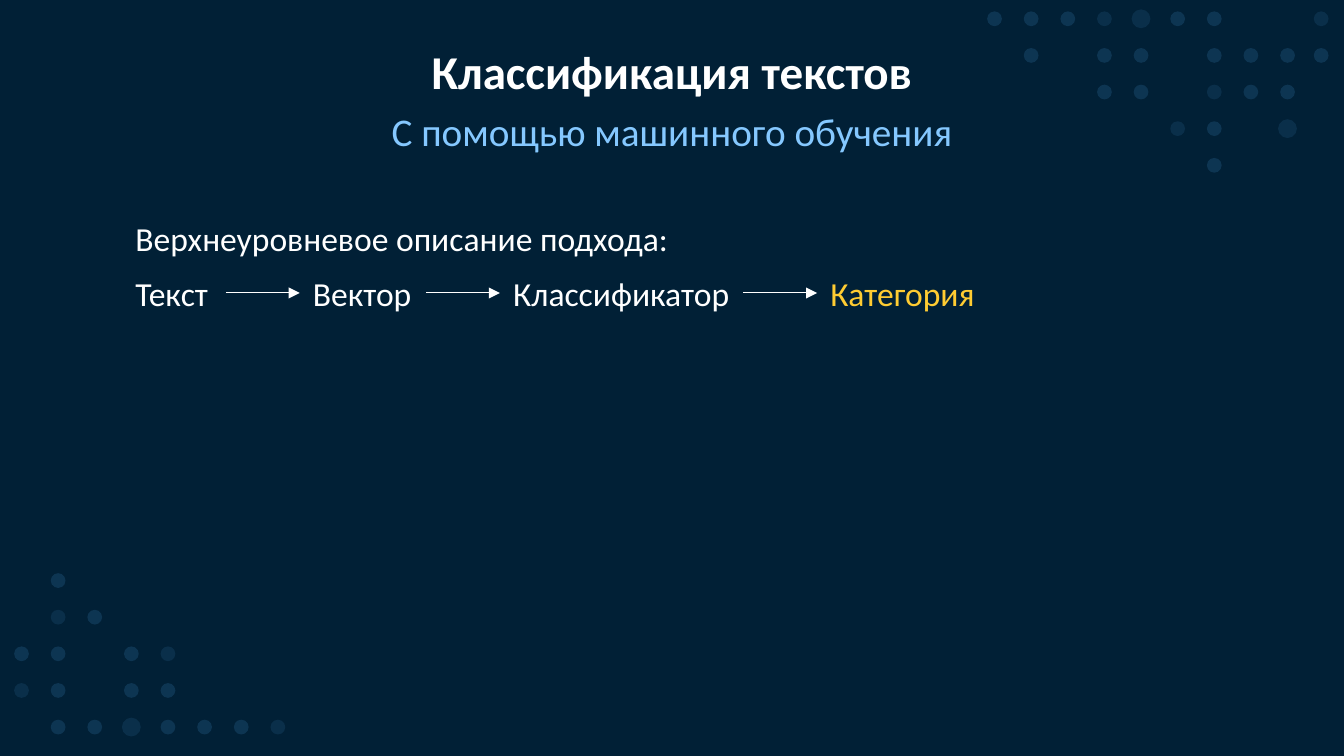
"""Builds the slide on classifying texts with machine learning."""
from dataclasses import dataclass
from itertools import pairwise

from lxml import etree
from pptx import Presentation
from pptx.dml.color import RGBColor
from pptx.enum.shapes import MSO_CONNECTOR, MSO_SHAPE
from pptx.enum.text import MSO_ANCHOR, MSO_AUTO_SIZE, PP_ALIGN
from pptx.oxml.ns import qn
from pptx.util import Inches, Pt

STRAIGHT = MSO_CONNECTOR.STRAIGHT
OVAL = MSO_SHAPE.OVAL
TOP, MIDDLE = MSO_ANCHOR.TOP, MSO_ANCHOR.MIDDLE
FIT_SHAPE = MSO_AUTO_SIZE.SHAPE_TO_FIT_TEXT
CENTER = PP_ALIGN.CENTER
LEFT_SIDE, RIGHT_SIDE = 1, 3


@dataclass(frozen=True)
class Theme:
    font: str = "Calibri"
    background: str = "012036"
    text: str = "FFFFFF"
    subtitle: str = "85C8FF"
    accent: str = "FFCC32"
    dot: str = "5CB5FF"
    title_size: float = 25.2
    subtitle_size: float = 21
    body_size: float = 18
    line_width: float = 0.5


DIAMETER_AND_OPACITY = {"o": (0.11, 14), "f": (0.11, 10), "L": (0.14, 10)}
DOT_STEP = 2.18 / 8
DOT_FIELDS = [
    (7.40, 0.14, ["ooofLoo", " o oo ooo", "   oo foo", "     fo L", "      o"]),
    (9.83, 0.14, ["f", "o"]),
    (0.16, 4.32, [" o", " fo", "oo of", "fo oo", " ooLooof"]),
]
STEPS = [
    ("Текст", 0.91, 0.77),
    ("Вектор", 2.23, 0.94),
    ("Классификатор", 3.72, 1.81),
    ("Категория", 6.08, 1.28),
]


class SlideBuilder:
    def __init__(self, slide, theme):
        self.slide = slide
        self.theme = theme
        fill = slide.background.fill
        fill.solid()
        fill.fore_color.rgb = RGBColor.from_string(theme.background)

    def dot(self, x, y, diameter, opacity):
        shape = self.slide.shapes.add_shape(
            OVAL, Inches(x - diameter / 2), Inches(y - diameter / 2),
            Inches(diameter), Inches(diameter))
        shape.shadow.inherit = False
        shape.line.fill.background()
        shape.fill.solid()
        shape.fill.fore_color.rgb = RGBColor.from_string(self.theme.dot)
        color = shape.fill._xPr.find(qn("a:solidFill"))[0]
        etree.SubElement(color, qn("a:alpha"), val=str(opacity * 1000))

    def dot_field(self, left, top, rows):
        for row, marks in enumerate(rows):
            for column, mark in enumerate(marks):
                if mark in DIAMETER_AND_OPACITY:
                    self.dot(left + column * DOT_STEP, top + row * DOT_STEP,
                             *DIAMETER_AND_OPACITY[mark])

    def text(self, content, left, top, width, height, size, color):
        box = self.slide.shapes.add_textbox(
            Inches(left), Inches(top), Inches(width), Inches(height))
        paragraph = box.text_frame.paragraphs[0]
        paragraph.text = content
        paragraph.font.name = self.theme.font
        paragraph.font.size = Pt(size)
        paragraph.font.color.rgb = RGBColor.from_string(color)
        return box

    def heading(self, content, top, size, color, spacing, anchor=TOP,
                bold=False, space_before=0):
        box = self.text(content, 0.69, top, 8.62, 0.5, size, color)
        box.text_frame.word_wrap = True
        box.text_frame.vertical_anchor = anchor
        paragraph = box.text_frame.paragraphs[0]
        paragraph.alignment = CENTER
        paragraph.line_spacing = spacing
        paragraph.space_before = Pt(space_before)
        paragraph.font.bold = bold

    def label(self, content, left, top, width, color):
        box = self.text(content, left, top, width, 0.4, self.theme.body_size, color)
        box.text_frame.word_wrap = False
        box.text_frame.auto_size = FIT_SHAPE
        return box

    def arrow(self, source, target):
        connector = self.slide.shapes.add_connector(STRAIGHT, 0, 0, 0, 0)
        connector.begin_connect(source, RIGHT_SIDE)
        connector.end_connect(target, LEFT_SIDE)
        connector.line.width = Pt(self.theme.line_width)
        connector.line.color.rgb = RGBColor.from_string(self.theme.text)
        etree.SubElement(connector.line._get_or_add_ln(), qn("a:tailEnd"), type="triangle")
        etree.SubElement(connector._element.spPr, qn("a:effectLst"))


def main():
    presentation = Presentation()
    presentation.slide_width = Inches(10)
    presentation.slide_height = Inches(10 * 9 / 16)
    theme = Theme()
    slide = presentation.slides.add_slide(presentation.slide_layouts[6])
    builder = SlideBuilder(slide, theme)

    for field in DOT_FIELDS:
        builder.dot_field(*field)
    builder.heading("Классификация текстов", 0.3, theme.title_size, theme.text,
                    0.9, anchor=MIDDLE, bold=True)
    builder.heading("С помощью машинного обучения", 0.8, theme.subtitle_size,
                    theme.subtitle, 0.85, space_before=8)
    builder.label("Верхнеуровневое описание подхода:", 0.91, 1.57, 4.17, theme.text)

    colors = [theme.text] * (len(STEPS) - 1) + [theme.accent]
    boxes = [builder.label(name, left, 1.98, width, color)
             for (name, left, width), color in zip(STEPS, colors)]
    for source, target in pairwise(boxes):
        builder.arrow(source, target)

    presentation.save("out.pptx")


if __name__ == "__main__":
    main()
